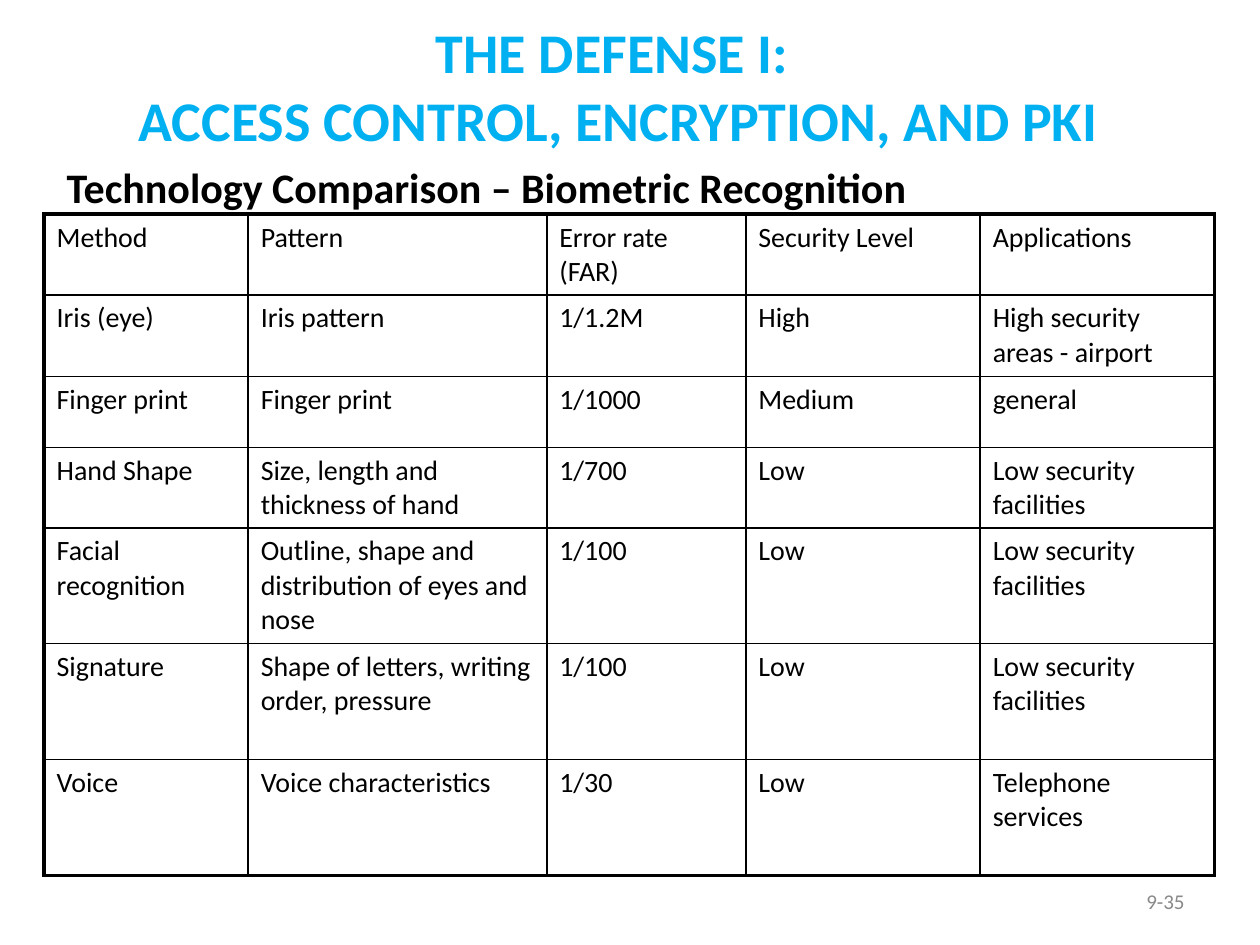
from dataclasses import dataclass

import pptx
import pptx.dml.color
import pptx.enum.text
import pptx.oxml.ns
import pptx.util
from lxml import etree
from pptx.dml.color import RGBColor
from pptx.enum.text import MSO_ANCHOR, PP_ALIGN
from pptx.util import Inches, Pt

FONT = "Calibri"
BLACK = RGBColor(0x00, 0x00, 0x00)
SKY_BLUE = RGBColor(0x00, 0xB0, 0xF0)
GREY = RGBColor(0x89, 0x89, 0x89)

OUTER_WIDTH = 2.25
INNER_WIDTH = 1


@dataclass(frozen=True)
class Caption:
    lines: tuple[str, ...]
    box: tuple[float, float, float, float]
    size: int
    color: RGBColor
    bold: bool = False
    align: PP_ALIGN = PP_ALIGN.LEFT
    anchor: MSO_ANCHOR = MSO_ANCHOR.TOP


@dataclass(frozen=True)
class Biometric:
    method: str
    pattern: str
    error_rate: str
    security: str
    applications: str
    height: float

    def texts(self) -> tuple[str, ...]:
        return (self.method, self.pattern, self.error_rate,
                self.security, self.applications)


CAPTIONS = (
    Caption(("THE DEFENSE I: ", "ACCESS CONTROL, ENCRYPTION, AND PKI"),
            (0.26, 0.28, 9.3, 0.79), 32, SKY_BLUE, True,
            PP_ALIGN.CENTER, MSO_ANCHOR.MIDDLE),
    Caption(("Technology Comparison – Biometric Recognition",),
            (0.43, 1.23, 9, 5.31), 24, BLACK, True),
    Caption(("9-35",), (7.17, 6.95, 2.33, 0.4), 12, GREY,
            align=PP_ALIGN.RIGHT, anchor=MSO_ANCHOR.MIDDLE),
)

COLUMN_WIDTHS = (1.62, 2.37, 1.58, 1.86, 1.86)
COMPARISON = (
    Biometric("Method", "Pattern", "Error rate (FAR)", "Security Level",
              "Applications", 0.64),
    Biometric("Iris (eye)", "Iris pattern", "1/1.2M", "High",
              "High security areas - airport", 0.65),
    Biometric("Finger print", "Finger print", "1/1000", "Medium",
              "general", 0.56),
    Biometric("Hand Shape", "Size, length and thickness of hand", "1/700",
              "Low", "Low security facilities", 0.64),
    Biometric("Facial recognition",
              "Outline, shape and distribution of eyes and nose", "1/100",
              "Low", "Low security facilities", 0.92),
    Biometric("Signature", "Shape of letters, writing order, pressure",
              "1/100", "Low", "Low security facilities", 0.92),
    Biometric("Voice", "Voice characteristics", "1/30", "Low",
              "Telephone services", 0.92),
)


def add_run(paragraph, text: str, size: int, color: RGBColor,
            bold: bool = False) -> None:
    run = paragraph.add_run()
    run.text = text
    run.font.name = FONT
    run.font.size = Pt(size)
    run.font.bold = bold
    run.font.color.rgb = color


def add_caption(slide, caption: Caption) -> None:
    box = slide.shapes.add_textbox(*map(Inches, caption.box))
    frame = box.text_frame
    frame.word_wrap = True
    frame.vertical_anchor = caption.anchor
    paragraph = frame.paragraphs[0]
    paragraph.alignment = caption.align
    for index, line in enumerate(caption.lines):
        if index:
            paragraph.add_line_break()
        add_run(paragraph, line, caption.size, caption.color, caption.bold)


def set_borders(cell, widths: dict[str, float]) -> None:
    """Insert the border lines ahead of the cell fill, as the schema requires."""
    properties = cell._tc.get_or_add_tcPr()
    qn = pptx.oxml.ns.qn
    for index, (side, width) in enumerate(widths.items()):
        line = etree.Element(qn(f"a:ln{side}"), w=str(Pt(width)))
        fill = etree.SubElement(line, qn("a:solidFill"))
        etree.SubElement(fill, qn("a:srgbClr"), val=str(BLACK))
        properties.insert(index, line)


def add_comparison(slide, rows: tuple[Biometric, ...]) -> None:
    row_count, column_count = len(rows), len(COLUMN_WIDTHS)
    table = slide.shapes.add_table(
        row_count, column_count, Inches(0.35), Inches(1.7),
        Inches(sum(COLUMN_WIDTHS)), Inches(sum(row.height for row in rows)),
    ).table
    table.first_row = False
    table.horz_banding = False
    for column, width in zip(table.columns, COLUMN_WIDTHS):
        column.width = Inches(width)

    def edge(is_outer: bool) -> float:
        return OUTER_WIDTH if is_outer else INNER_WIDTH

    for r, biometric in enumerate(rows):
        table.rows[r].height = Inches(biometric.height)
        for c, text in enumerate(biometric.texts()):
            cell = table.cell(r, c)
            cell.fill.background()
            add_run(cell.text_frame.paragraphs[0], text, 16, BLACK)
            set_borders(cell, {
                "L": edge(c == 0),
                "R": edge(c == column_count - 1),
                "T": edge(r == 0),
                "B": edge(r == row_count - 1),
            })


def main() -> None:
    presentation = pptx.Presentation()
    presentation.slide_width = Inches(10)
    presentation.slide_height = Inches(7.5)
    slide = presentation.slides.add_slide(presentation.slide_layouts[6])

    # Title, subtitle and page number
    for caption in CAPTIONS:
        add_caption(slide, caption)

    # Biometric comparison table
    add_comparison(slide, COMPARISON)

    presentation.save("out.pptx")


if __name__ == "__main__":
    main()
